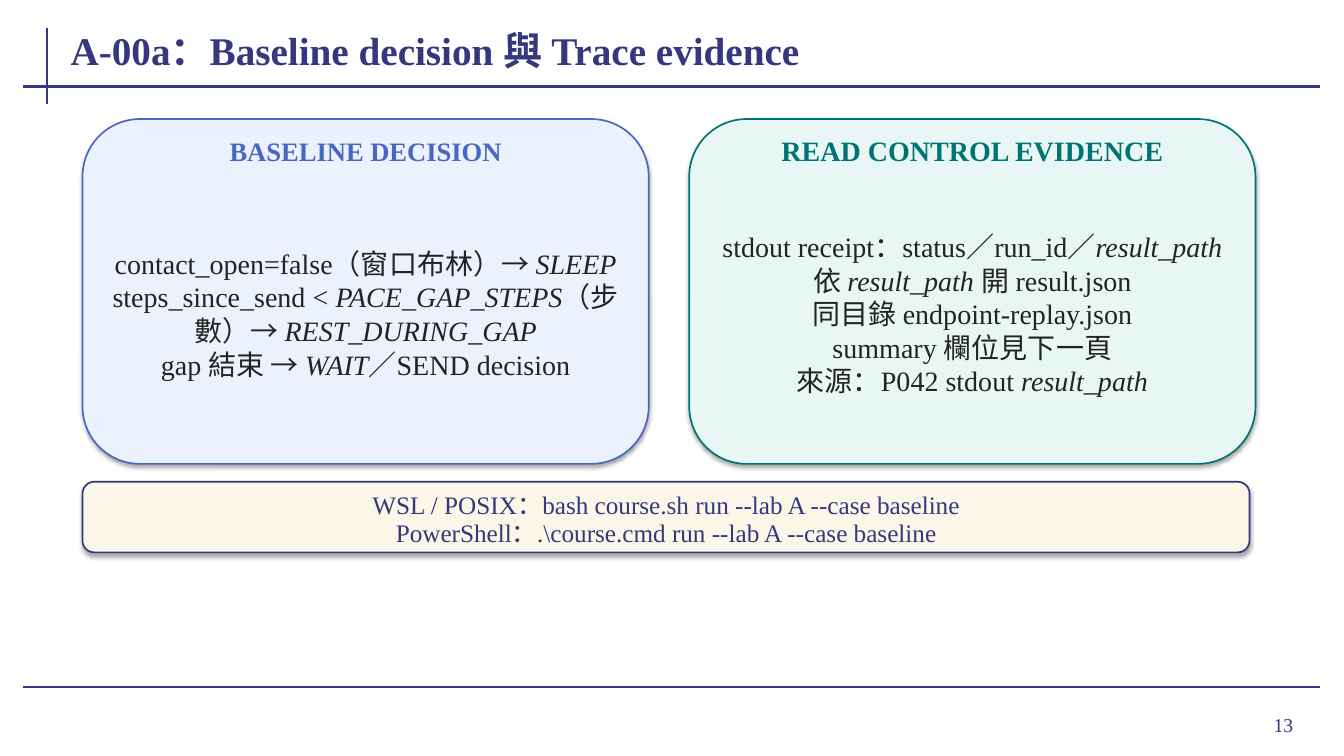
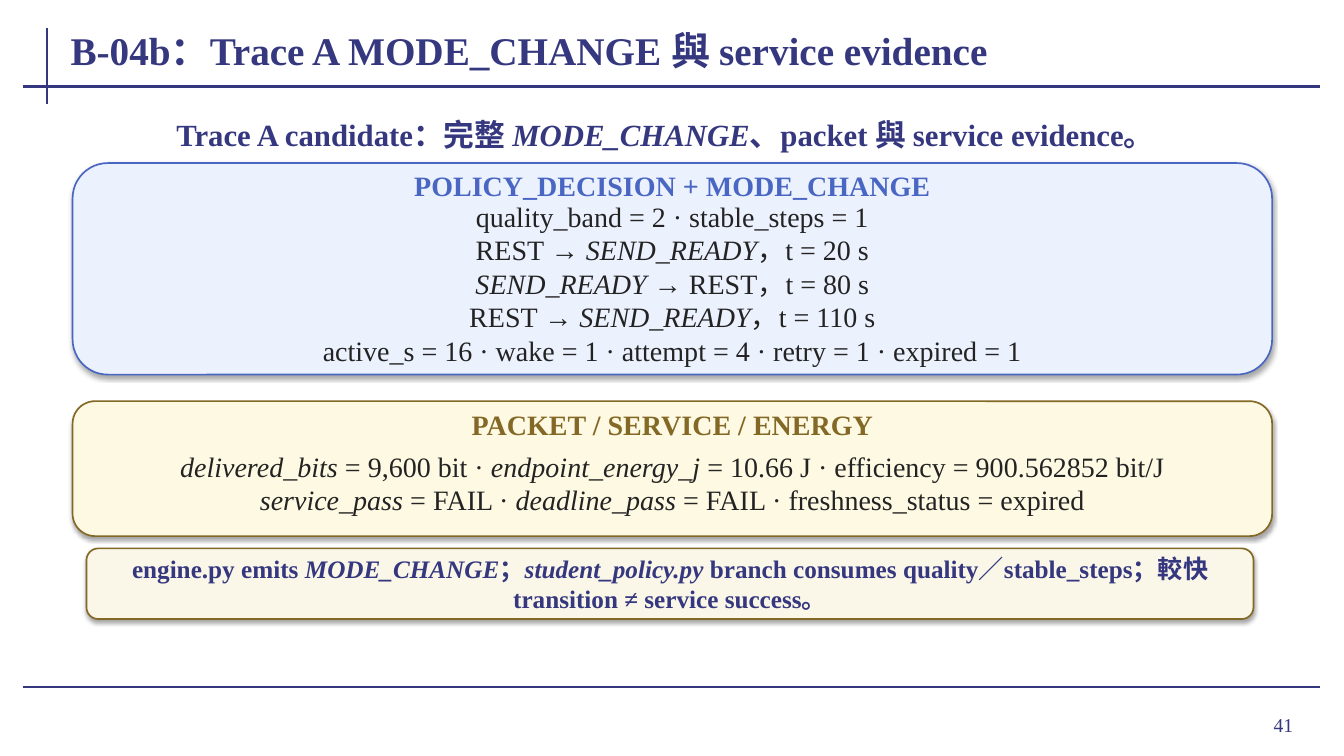
from dataclasses import dataclass

from lxml import etree
from pptx import Presentation
from pptx.dml.color import RGBColor
from pptx.enum.shapes import MSO_CONNECTOR, MSO_SHAPE
from pptx.enum.text import MSO_ANCHOR, MSO_AUTO_SIZE, PP_ALIGN
from pptx.oxml.ns import qn
from pptx.slide import Slide
from pptx.util import Cm, Pt

STRAIGHT = MSO_CONNECTOR.STRAIGHT
ROUNDED = MSO_SHAPE.ROUNDED_RECTANGLE
MIDDLE = MSO_ANCHOR.MIDDLE
GROW = MSO_AUTO_SIZE.SHAPE_TO_FIT_TEXT
NO_GROW = MSO_AUTO_SIZE.NONE
LEFT, CENTER, RIGHT = PP_ALIGN.LEFT, PP_ALIGN.CENTER, PP_ALIGN.RIGHT

FONT = "Times New Roman"
NAVY = RGBColor(0x35, 0x37, 0x7F)
INK = RGBColor(0x23, 0x23, 0x23)
BLUE = RGBColor(0x49, 0x67, 0xC2)
TEAL = RGBColor(0x00, 0x73, 0x74)
BROWN = RGBColor(0x84, 0x68, 0x26)
PALE_BLUE = RGBColor(0xEC, 0xF1, 0xFE)
PALE_TEAL = RGBColor(0xE8, 0xF7, 0xF4)
PALE_YELLOW = RGBColor(0xFD, 0xF9, 0xE2)
CREAM = RGBColor(0xFA, 0xF7, 0xE8)


@dataclass(frozen=True)
class Box:
    """A rectangle in centimetres."""
    left: float
    top: float
    width: float
    height: float


@dataclass(frozen=True)
class TextStyle:
    size: float
    color: RGBColor = NAVY
    bold: bool = False
    align: PP_ALIGN = CENTER
    auto_size: MSO_AUTO_SIZE = GROW
    inset_x: float = 0.03
    inset_y: float = 0


@dataclass(frozen=True)
class CardLayout:
    """Offsets of heading and body inside a card, in centimetres."""
    heading_top: float
    heading_height: float
    body_side: float
    body_top: float
    body_bottom: float
    body_inset_x: float
    body_inset_y: float


@dataclass(frozen=True)
class Card:
    box: Box
    accent: RGBColor
    fill: RGBColor
    heading: str
    lines: tuple[str, ...]
    heading_size: float = 20


TITLE = TextStyle(28, bold=True, align=LEFT, auto_size=NO_GROW, inset_x=0.05)
PAGE_NUMBER = TextStyle(14, align=RIGHT, auto_size=NO_GROW, inset_x=0.25, inset_y=0.13)
LEAD = TextStyle(22, bold=True, inset_x=0.2, inset_y=0.1)
COMMAND = TextStyle(18)
NOTE = TextStyle(18, bold=True, inset_x=0.05)

FRAME_LINES = (
    (1.19, 0.71, 1.19, 2.62),
    (0.58, 2.18, 33.27, 2.18),
    (0.58, 17.32, 33.27, 17.32),
)
HEADING_SIDE = 0.46
TALL_CARD = CardLayout(0.41, 0.76, 0.51, 1.47, 0.36, 0.2, 0.1)
WIDE_CARD = CardLayout(0.25, 0.64, 0.56, 0.97, 0.25, 0.03, 0.01)

DECISION_CARDS = (
    Card(Box(2.08, 3, 14.27, 8.69), BLUE, PALE_BLUE, "BASELINE DECISION", (
        "contact_open=false（窗口布林）→ *SLEEP*",
        "steps_since_send < *PACE_GAP_STEPS*（步數）→ *REST_DURING_GAP*",
        "gap 結束 → *WAIT*／SEND decision",
    ), heading_size=19),
    Card(Box(17.37, 3, 14.27, 8.69), TEAL, PALE_TEAL, "READ CONTROL EVIDENCE", (
        "stdout receipt：status／run_id／*result_path*",
        "依 *result_path* 開 result.json",
        "同目錄 endpoint-replay.json",
        "summary 欄位見下一頁",
        "來源：P042 stdout *result_path*",
    )),
)
COMMANDS = (
    "WSL / POSIX：bash course.sh run --lab A --case baseline",
    "PowerShell：.\\course.cmd run --lab A --case baseline",
)
TRACE_CARDS = (
    Card(Box(1.83, 4.11, 30.23, 5.33), BLUE, PALE_BLUE, "POLICY_DECISION + MODE_CHANGE", (
        "quality_band = 2 · stable_steps = 1",
        "REST → *SEND_READY*，t = 20 s",
        "*SEND_READY* → REST，t = 80 s",
        "REST → *SEND_READY*，t = 110 s",
        "active_s = 16 · wake = 1 · attempt = 4 · retry = 1 · expired = 1",
    )),
    Card(Box(1.83, 10.11, 30.23, 3.4), BROWN, PALE_YELLOW, "PACKET / SERVICE / ENERGY", (
        "*delivered_bits* = 9,600 bit · *endpoint_energy_j* = 10.66 J"
        " · efficiency = 900.562852 bit/J",
        "*service_pass* = FAIL · *deadline_pass* = FAIL · freshness_status = expired",
    )),
)


def add_text(slide: Slide, box: Box, style: TextStyle, *lines: str) -> None:
    """Add one paragraph per line; words between asterisks are italic."""
    shape = slide.shapes.add_textbox(Cm(box.left), Cm(box.top), Cm(box.width), Cm(box.height))
    frame = shape.text_frame
    frame.word_wrap = True
    frame.auto_size = style.auto_size
    frame.vertical_anchor = MIDDLE
    frame.margin_left = frame.margin_right = Cm(style.inset_x)
    frame.margin_top = frame.margin_bottom = Cm(style.inset_y)
    for index, line in enumerate(lines):
        paragraph = frame.add_paragraph() if index else frame.paragraphs[0]
        paragraph.alignment = style.align
        paragraph.font.name = FONT
        paragraph.font.size = Pt(style.size)
        paragraph.font.bold = style.bold
        paragraph.font.color.rgb = style.color
        for part_index, part in enumerate(line.split("*")):
            if part:
                run = paragraph.add_run()
                run.text = part
                if part_index % 2:
                    run.font.italic = True


def add_panel(slide: Slide, box: Box, fill: RGBColor, outline: RGBColor) -> None:
    """Add a rounded panel that keeps the soft shadow of the theme."""
    shape = slide.shapes.add_shape(
        ROUNDED, Cm(box.left), Cm(box.top), Cm(box.width), Cm(box.height))
    shape.fill.solid()
    shape.fill.fore_color.rgb = fill
    shape.line.color.rgb = outline
    shape.line.width = Pt(1.2)


def add_card(slide: Slide, card: Card, layout: CardLayout) -> None:
    box = card.box
    add_panel(slide, box, card.fill, card.accent)
    heading_box = Box(box.left + HEADING_SIDE, box.top + layout.heading_top,
                      box.width - 2 * HEADING_SIDE, layout.heading_height)
    add_text(slide, heading_box, TextStyle(card.heading_size, card.accent, bold=True),
             card.heading)
    body_box = Box(box.left + layout.body_side, box.top + layout.body_top,
                   box.width - 2 * layout.body_side,
                   box.height - layout.body_top - layout.body_bottom)
    body_style = TextStyle(20, INK, inset_x=layout.body_inset_x, inset_y=layout.body_inset_y)
    add_text(slide, body_box, body_style, *card.lines)


def add_framed_slide(presentation: Presentation, title: str, number: int) -> Slide:
    """Add a slide with the shared rules, title and page number."""
    slide = presentation.slides.add_slide(presentation.slide_layouts[6])
    for ends in FRAME_LINES:
        line = slide.shapes.add_connector(STRAIGHT, *(Cm(end) for end in ends))
        line.line.color.rgb = NAVY
        line.line.width = Pt(1.5)
        etree.SubElement(line._element.spPr, qn("a:effectLst"))
    add_text(slide, Box(30.38, 17.6, 2.46, 1.32), PAGE_NUMBER, str(number))
    add_text(slide, Box(1.73, 0.46, 30.35, 1.57), TITLE, title)
    return slide


def add_decision_slide(presentation: Presentation) -> None:
    slide = add_framed_slide(presentation, "A-00a：Baseline decision 與 Trace evidence", 13)
    for card in DECISION_CARDS:
        add_card(slide, card, TALL_CARD)
    add_panel(slide, Box(2.08, 12.14, 29.41, 1.78), CREAM, NAVY)
    for index, command in enumerate(COMMANDS):
        add_text(slide, Box(2.59, 12.4 + 0.71 * index, 28.4, 0.61), COMMAND, command)


def add_trace_slide(presentation: Presentation) -> None:
    slide = add_framed_slide(
        presentation, "B-04b：Trace A MODE_CHANGE 與 service evidence", 41)
    add_text(slide, Box(2.29, 2.95, 28.96, 0.86), LEAD,
             "Trace A candidate：完整 *MODE_CHANGE*、packet 與 service evidence。")
    for card in TRACE_CARDS:
        add_card(slide, card, WIDE_CARD)
    add_panel(slide, Box(2.18, 13.82, 29.41, 1.78), CREAM, BROWN)
    add_text(slide, Box(2.64, 14, 28.5, 1.42), NOTE,
             "engine.py emits *MODE_CHANGE*；*student_policy.py* branch consumes "
             "quality／stable_steps；較快 transition ≠ service success。")


def main() -> None:
    presentation = Presentation()
    presentation.slide_width = Cm(33.87)
    presentation.slide_height = Cm(19.05)
    add_decision_slide(presentation)
    add_trace_slide(presentation)
    presentation.save("out.pptx")


if __name__ == "__main__":
    main()
